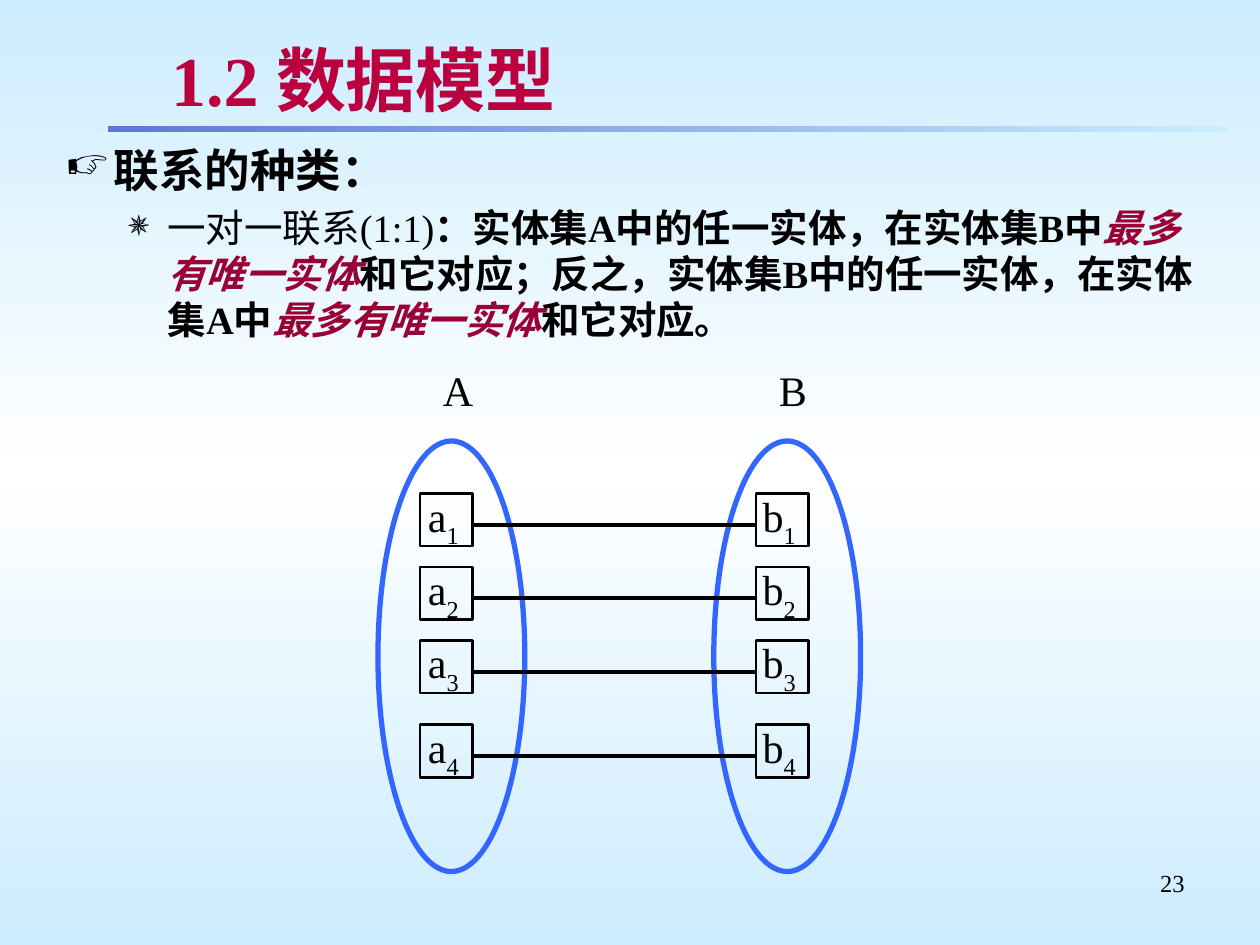
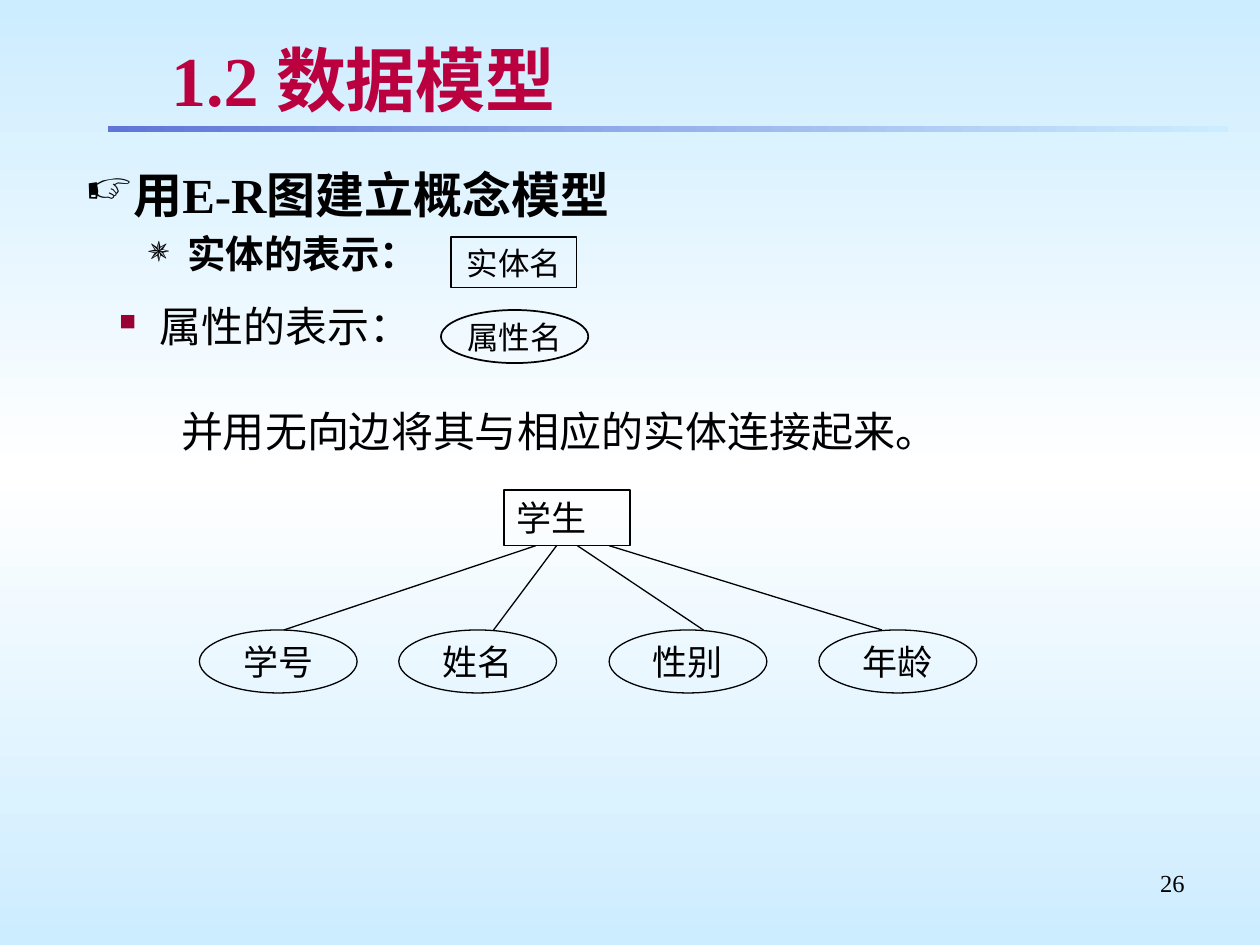
from copy import deepcopy
from lxml import etree
from pptx import Presentation
from pptx.dml.color import RGBColor as RGB
from pptx.enum.shapes import MSO_CONNECTOR as LINE, MSO_SHAPE as SHAPE
from pptx.enum.text import MSO_ANCHOR as ANCHOR, PP_ALIGN as ALIGN
from pptx.oxml.ns import qn
from pptx.util import Cm, Pt

COLORS = {
    "sky": "CCECFF", "white": "FFFFFF", "band": "5F76D7", "title": "BA003E",
    "text": "000000", "accent": "990033", "set": "3366FF", "shadow": "C0C0C0",
}
SERIF, SANS = "Times New Roman", "Karla"
HAND = dict(char="☞", size=95, color="text", left=0.97, hang=0.97)
STAR = dict(char="✵", size=95, color="text", left=2.06, hang=0.79)
SQUARE = dict(char="■", size=55, color="accent", left=1.5, hang=0.82)


def add_bullet(p, char, size, color, left, hang):
    pPr = p._p.get_or_add_pPr()
    pPr.set("marL", str(Cm(left)))
    pPr.set("indent", str(-Cm(hang)))
    clr = etree.SubElement(pPr, qn("a:buClr"))
    etree.SubElement(clr, qn("a:srgbClr"), val=COLORS[color])
    etree.SubElement(pPr, qn("a:buSzPct"), val=str(size * 1000))
    etree.SubElement(pPr, qn("a:buChar"), char=char)


def add_text(s, text, box, kind=None, line=("text", 0.75), size=24, font=SERIF,
             color="text", bold=False, align=ALIGN.LEFT, anchor=ANCHOR.TOP,
             wrap=True, inset=0.13, bullet=None, before=0, sub=None, shadow=False):
    box = [Cm(v) for v in box]
    if kind is None:
        sp = s.shapes.add_textbox(*box)
    else:
        sp = s.shapes.add_shape(kind, *box)
        sp.shadow.inherit = False
        sp.fill.background()
        sp.line.color.rgb = RGB.from_string(COLORS[line[0]])
        sp.line.width = Pt(line[1])
    tf = sp.text_frame
    tf.word_wrap = wrap
    tf.vertical_anchor = anchor
    tf.margin_top = tf.margin_bottom = Cm(inset)
    paragraphs = text if isinstance(text, list) else [dict(runs=[(text, {})])]
    for i, item in enumerate(paragraphs):
        p = tf.add_paragraph() if i else tf.paragraphs[0]
        p.alignment = align
        if i:
            p.space_before = Pt(before)
        mark = item.get("bullet", bullet)
        if mark:
            add_bullet(p, **mark)
        for words, style in item["runs"]:
            r = p.add_run()
            r.text = words
            f = r.font
            f.name, f.size = font, Pt(item.get("size", size))
            f.bold, f.italic = style.get("bold", bold), style.get("italic", False)
            f.color.rgb = RGB.from_string(COLORS[style.get("color", color)])
            if style.get("sub"):
                f._element.set("baseline", "-30000")
            if shadow:
                fx = etree.Element(qn("a:effectLst"))
                cast = etree.SubElement(fx, qn("a:outerShdw"), dist="25400", dir="2700000")
                etree.SubElement(cast, qn("a:srgbClr"), val=COLORS["shadow"])
                f._element.find(qn("a:solidFill")).addnext(fx)
    return sp


prs = Presentation()
prs.slide_width, prs.slide_height = Cm(25.4), Cm(19.05)
slides = []
for number in ("23", "26"):
    s = prs.slides.add_slide(prs.slide_layouts[6])
    fill = s.background.fill
    fill.gradient()
    fill.gradient_angle = 270
    stops = s._element.find(".//" + qn("a:gsLst"))
    stops.append(deepcopy(stops[-1]))
    for stop, pos, name in zip(fill.gradient_stops, (0, 0.5, 1), ("sky", "white", "sky")):
        stop.position = pos
        stop.color.rgb = RGB.from_string(COLORS[name])

    band = s.shapes.add_shape(SHAPE.RECTANGLE, Cm(2.18), Cm(2.54), Cm(22.58), Cm(0.13))
    band.shadow.inherit = False
    band.line.fill.background()
    band.fill.gradient()
    band.fill.gradient_angle = 0
    for stop, name in zip(band.fill.gradient_stops, ("band", "sky")):
        stop.color.rgb = RGB.from_string(COLORS[name])

    add_text(s, number, (18.2, 17.36, 5.93, 1.31), size=14, align=ALIGN.RIGHT)
    add_text(s, "1.2 数据模型", (3.2, 0.74, 20.93, 1.7), size=40, color="title",
             bold=True, anchor=ANCHOR.MIDDLE, inset=0.1, shadow=True)
    slides.append(s)

relation, er = slides
links = []
centered = dict(align=ALIGN.CENTER, anchor=ANCHOR.MIDDLE, wrap=False)
stress = dict(color="accent", italic=True)

add_text(relation, [
    dict(runs=[("联系的种类：", {})], bullet=HAND, size=26),
    dict(runs=[
        ("一对一联系(1:1)", dict(bold=False)),
        ("：实体集A中的任一实体，在实体集B中", {}),
        ("最多有唯一实体", stress),
        ("和它对应；反之，实体集B中的任一实体，在实体集A中", {}),
        ("最多有唯一实体", stress),
        ("和它对应。", {}),
    ], bullet=STAR, size=22),
], (1.07, 2.74, 23.5, 5.44), bold=True, before=4.1)

member_tops = (9.95, 11.43, 12.91, 14.61)
for name, left in (("A", 7.62), ("B", 14.39)):
    add_text(relation, name + " ", (left + 1.06, 7.83, 1.06, 1.06), **centered)
    oval = relation.shapes.add_shape(SHAPE.OVAL, Cm(left), Cm(8.89), Cm(2.96), Cm(8.68))
    oval.shadow.inherit = False
    oval.fill.background()
    oval.line.color.rgb = RGB.from_string(COLORS["set"])
    oval.line.width = Pt(3)
    for n, top in enumerate(member_tops, 1):
        add_text(relation, [dict(runs=[(name.lower(), {}), (f"{n} ", dict(sub=True))])],
                 (left + 0.85, top, 1.06, 1.06), SHAPE.RECTANGLE, ("text", 1.5), **centered)
for top in member_tops:
    links.append((relation, 9.53, top + 0.63, 15.24, top + 0.63, 2.25))

add_text(er, [
    dict(runs=[("用E-R图建立概念模型", {})], bullet=HAND, size=28),
    dict(runs=[("实体的表示：", {})], bullet=STAR, size=22),
], (1.47, 3.18, 12.17, 3.05), bold=True, before=4.1)
add_text(er, "实体名", (9.09, 4.78, 2.54, 1.02), SHAPE.RECTANGLE, size=18, align=ALIGN.CENTER)
add_text(er, "属性的表示：", (1.47, 5.92, 7.82, 1.45), font=SANS, bullet=SQUARE)
add_text(er, "属性名", (8.89, 6.25, 2.97, 1.07), SHAPE.OVAL, ("text", 1),
         size=18, font=SANS, **centered)
add_text(er, "并用无向边将其与相应的实体连接起来。", (3.4, 8.05, 15.75, 1.27),
         font=SANS, wrap=False)
add_text(er, "学生", (10.16, 9.88, 2.54, 1.12), SHAPE.RECTANGLE, size=20)
for name, left, start, end in (("学号", 4.02, 10.8, 5.72), ("姓名", 8.04, 11.22, 9.95),
                               ("性别", 12.28, 11.64, 14.18), ("年龄", 16.51, 12.28, 17.78)):
    add_text(er, name, (left, 12.7, 3.18, 1.27), SHAPE.OVAL, size=20, **centered)
    links.append((er, start, 11, end, 12.7, 0.75))

for s, x1, y1, x2, y2, width in links:
    link = s.shapes.add_connector(LINE.STRAIGHT, Cm(x1), Cm(y1), Cm(x2), Cm(y2))
    link.line.color.rgb = RGB.from_string(COLORS["text"])
    link.line.width = Pt(width)
    etree.SubElement(link._element.spPr, qn("a:effectLst"))

prs.save("out.pptx")
